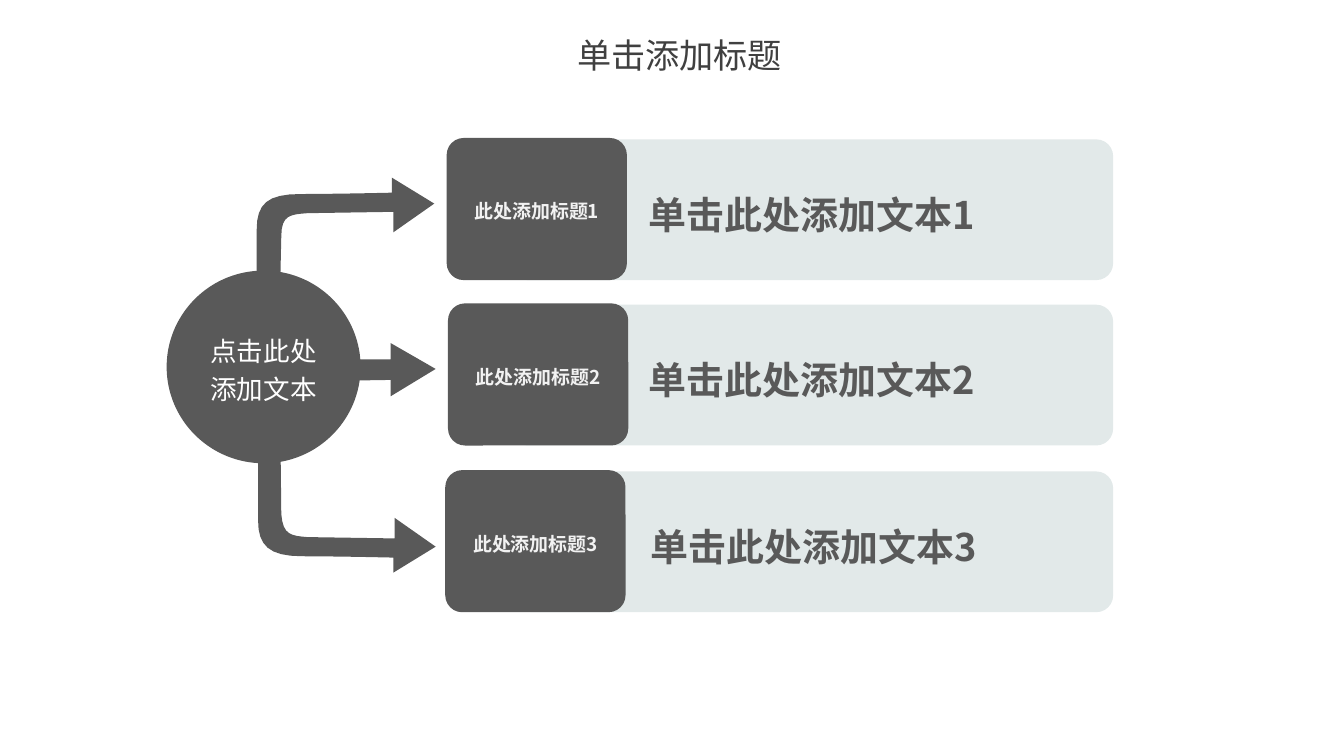
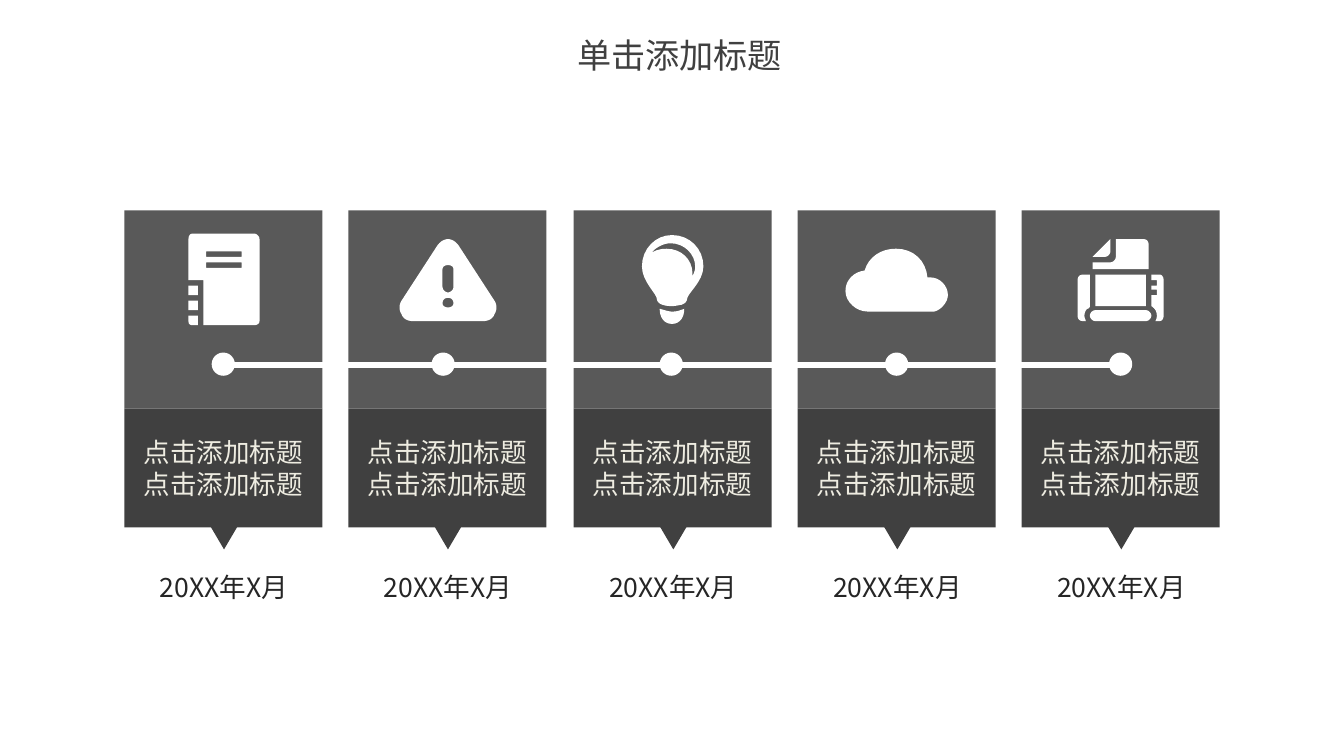
from lxml import etree
from pptx import Presentation
from pptx.dml.color import RGBColor
from pptx.enum.shapes import MSO_CONNECTOR, MSO_SHAPE
from pptx.enum.text import MSO_ANCHOR, PP_ALIGN
from pptx.oxml.ns import qn
from pptx.util import Pt

PX = 9144
FONT = "Noto Sans CJK SC"
GRAY = RGBColor(0x59, 0x59, 0x59)
DARK = RGBColor(0x40, 0x40, 0x40)
INK = RGBColor(0x26, 0x26, 0x26)
MIST = RGBColor(0xE2, 0xE9, 0xE9)
PALE = RGBColor(0xF2, 0xF2, 0xF2)
CREAM = RGBColor(0xEE, 0xEC, 0xE1)
WHITE = RGBColor(0xFF, 0xFF, 0xFF)

RECTANGLE = MSO_SHAPE.RECTANGLE
ROUNDED = MSO_SHAPE.ROUNDED_RECTANGLE
ELLIPSE = MSO_SHAPE.OVAL
TRIANGLE = MSO_SHAPE.ISOSCELES_TRIANGLE
STRAIGHT = MSO_CONNECTOR.STRAIGHT
CENTER = PP_ALIGN.CENTER
TOP = MSO_ANCHOR.TOP
MIDDLE = MSO_ANCHOR.MIDDLE

ARROWS = [
    "M 205 286; L 206 376; C 207 392 214 392 225 393; L 289 394 289 379 319 400"
    " 288 419 288 408; C 288 408 245 407 221 407; C 197 407 189 399 189 381;"
    " L 189 284; C 191 269 202 270 205 286",
    "M 165 280; L 286 278 286 290 319 270 286 251 286 263 165 263",
    "M 204 263; L 206 173; C 206 157 213 157 225 156; L 288 155 288 170 318 149"
    " 287 130 287 141; C 287 141 244 142 220 142; C 196 142 188 149 188 168;"
    " L 188 265; C 191 280 201 279 204 263",
]

NOTEBOOK = (
    "M 145 238; L 141 238; C 139 238 138 237 138 235; L 138 231 145 231 Z"
    "M 138 209; L 145 209 145 216 138 216 Z"
    "M 138 220; L 145 220 145 227 138 227 Z"
    "M 141 171; L 186 171; C 188 171 190 173 190 175; L 190 235;"
    " C 190 237 188 238 186 238; L 149 238 149 205 138 205 138 175;"
    " C 138 173 139 171 141 171 Z"
    "M 151 196; L 177 196 177 192 151 192 Z"
    "M 151 188; L 177 188 177 184 151 184"
)
WARNING = (
    "M 320 180; C 322 177 325 175 328 175; C 331 175 334 177 336 180;"
    " L 362 220; C 364 223 364 227 362 230; C 361 233 358 235 354 235;"
    " L 302 235; C 298 235 295 233 294 230; C 292 227 292 223 294 220 Z"
    "M 328 225; C 330 225 332 224 332 222; C 332 219 330 218 328 218;"
    " C 326 218 324 219 324 222; C 324 224 326 225 328 225 Z"
    "M 324 210; C 324 212 326 214 328 214; C 330 214 332 212 332 210;"
    " L 332 197; C 332 195 330 194 328 194; C 326 194 324 195 324 197"
)
BULB = (
    "M 483 226; C 484 226 489 228 492 228; C 496 228 498 227 501 226;"
    " C 501 232 498 237 492 237; C 486 237 483 232 483 226 Z"
    "M 492 172; C 505 172 515 182 515 195; C 515 206 503 215 503 219;"
    " C 503 220 502 222 499 223; C 498 223 495 224 492 224;"
    " C 491 224 488 224 485 223; C 482 222 481 220 481 219;"
    " C 481 215 470 206 470 195; C 470 182 480 172 492 172 Z"
    "M 488 182; C 499 182 507 190 507 200; L 507 202; C 508 200 509 198 509 195;"
    " C 509 186 501 178 491 178; C 486 178 480 181 477 185; C 480 183 484 182 488 182"
)
CLOUD = (
    "M 633 198; C 636 188 645 182 656 182; C 669 182 678 191 679 203; L 681 203;"
    " C 688 203 694 209 694 216; C 694 221 689 227 684 228; L 635 228;"
    " C 627 228 619 221 619 213; C 619 205 625 199 633 198"
)
PRINTER = (
    "M 793 201; L 798 201 798 224; C 798 225 797 226 796 226;"
    " C 795 227 794 229 794 231; C 794 233 795 234 795 235; L 793 235;"
    " C 790 235 789 233 789 231; L 789 205; C 789 203 790 201 793 201 Z"
    "M 802 227; L 839 227; C 841 227 843 229 843 231; C 843 233 841 235 839 235;"
    " L 802 235; C 800 235 798 233 798 231; C 798 229 800 227 802 227 Z"
    "M 843 223; L 843 216 847 216 847 212 843 212 843 209 847 209 847 205 843 205"
    " 843 201 849 201; C 851 201 852 203 852 205; L 852 231; C 852 233 851 235 849 235;"
    " L 846 235; C 847 233 847 232 847 231; C 847 228 846 226 843 224 Z"
    "M 809 188; L 800 188 813 175 813 184; C 813 186 811 188 809 188 Z"
    "M 800 192; L 813 192; C 815 192 817 190 817 188; L 817 175 837 175;"
    " C 840 175 841 177 841 179; L 841 197 800 197 Z"
    "M 802 201; L 839 201 839 224 802 224"
)


def add_outline(page, path, color):
    builder = None
    for contour in path.split("Z"):
        points = []
        for step in contour.split(";"):
            letter, *numbers = step.split()
            values = [int(number) * PX for number in numbers]
            pairs = list(zip(values[::2], values[1::2]))
            if letter == "C":
                curve = [points[-1], *pairs]
                for index in range(1, 9):
                    t = index / 8
                    weights = ((1 - t) ** 3, 3 * t * (1 - t) ** 2, 3 * t * t * (1 - t), t ** 3)
                    points.append(tuple(
                        round(sum(w * point[axis] for w, point in zip(weights, curve)))
                        for axis in (0, 1)
                    ))
            else:
                points.extend(pairs)
        if builder is None:
            builder = page.shapes.build_freeform(*points[0], scale=1.0)
        else:
            builder.move_to(*points[0])
        builder.add_line_segments(points[1:], close=True)
    shape = builder.convert_to_shape()
    shape.shadow.inherit = False
    shape.fill.solid()
    shape.fill.fore_color.rgb = color
    shape.line.fill.background()


def add_box(page, kind, frame, fill=None, lines=(), size=14, color=WHITE, bold=False,
            spacing=1.0, insets=(10, 5), anchor=MIDDLE, wrap=True):
    frame = [value * PX for value in frame]
    if kind is None:
        box = page.shapes.add_textbox(*frame)
    else:
        box = page.shapes.add_shape(kind, *frame)
        box.shadow.inherit = False
        box.fill.solid()
        box.fill.fore_color.rgb = fill
        box.line.fill.background()
    text = box.text_frame
    text.word_wrap = wrap
    text.vertical_anchor = anchor
    text.margin_left = text.margin_right = insets[0] * PX
    text.margin_top = text.margin_bottom = insets[1] * PX
    for index, line in enumerate(lines):
        para = text.add_paragraph() if index else text.paragraphs[0]
        para.alignment = CENTER
        para.line_spacing = spacing
        span = para.add_run()
        span.text = line
        span.font.size = Pt(size)
        span.font.bold = bold
        span.font.color.rgb = color
        span.font.name = FONT
        etree.SubElement(span.font._element, qn("a:ea"), typeface=FONT)
    return box


deck = Presentation()
deck.slide_width = 984 * PX
deck.slide_height = 551 * PX
blank = deck.slide_layouts[6]
pages = [deck.slides.add_slide(blank) for _ in range(2)]
for page in pages:
    add_box(page, None, (422, 25, 151, 30), lines=["单击添加标题"], size=18, color=DARK,
            insets=(0, 0), wrap=False)
branches, timeline = pages

for arrow in ARROWS:
    add_outline(branches, arrow, GRAY)

rows = [(101, 327, 374), (222, 328, 374), (344, 326, 377)]
for number, (top, label_left, bar_left) in enumerate(rows, 1):
    bar = add_box(branches, ROUNDED, (bar_left, top + 1, 815 - bar_left, 103), MIST,
                  [f"单击此处添加文本{number}"], 20, GRAY, True, 1.2)
    label = add_box(branches, ROUNDED, (label_left, top, 132, 104), GRAY,
                    [f"此处添加标题{number}"], 10, PALE, True, 1.2)
    bar.adjustments[0] = label.adjustments[0] = 0.12
add_box(branches, ELLIPSE, (122, 198, 142, 141), GRAY, ["点击此处添加文本"], spacing=1.2)

icons = [NOTEBOOK, WARNING, BULB, CLOUD, PRINTER]
dot_lefts = [155, 316, 483, 648, 812]
for index, (icon, dot_left) in enumerate(zip(icons, dot_lefts)):
    left = round(91 + 164.25 * index)
    add_box(timeline, RECTANGLE, (left, 154, 145, 145), GRAY)
    add_box(timeline, RECTANGLE, (left, 299, 145, 87), DARK, ["点击添加标题"] * 2,
            color=CREAM, insets=(7, 4))
    add_outline(timeline, icon, WHITE)
    add_box(timeline, ELLIPSE, (dot_left, 258, 17, 17), WHITE)
    pointer = add_box(timeline, TRIANGLE, (left + 63, 385, 20, 17), DARK)
    pointer.rotation = 180
    add_box(timeline, None, (left + 16, 414, 114, 31), lines=["20XX年X月"], color=INK,
            insets=(7, 4), anchor=TOP)

axis_line = timeline.shapes.add_connector(STRAIGHT, 158 * PX, 267 * PX, 815 * PX, 267 * PX)
axis_line.line.color.rgb = WHITE
axis_line.line.width = 4 * PX
etree.SubElement(axis_line._element.spPr, qn("a:effectLst"))

deck.save("out.pptx")
